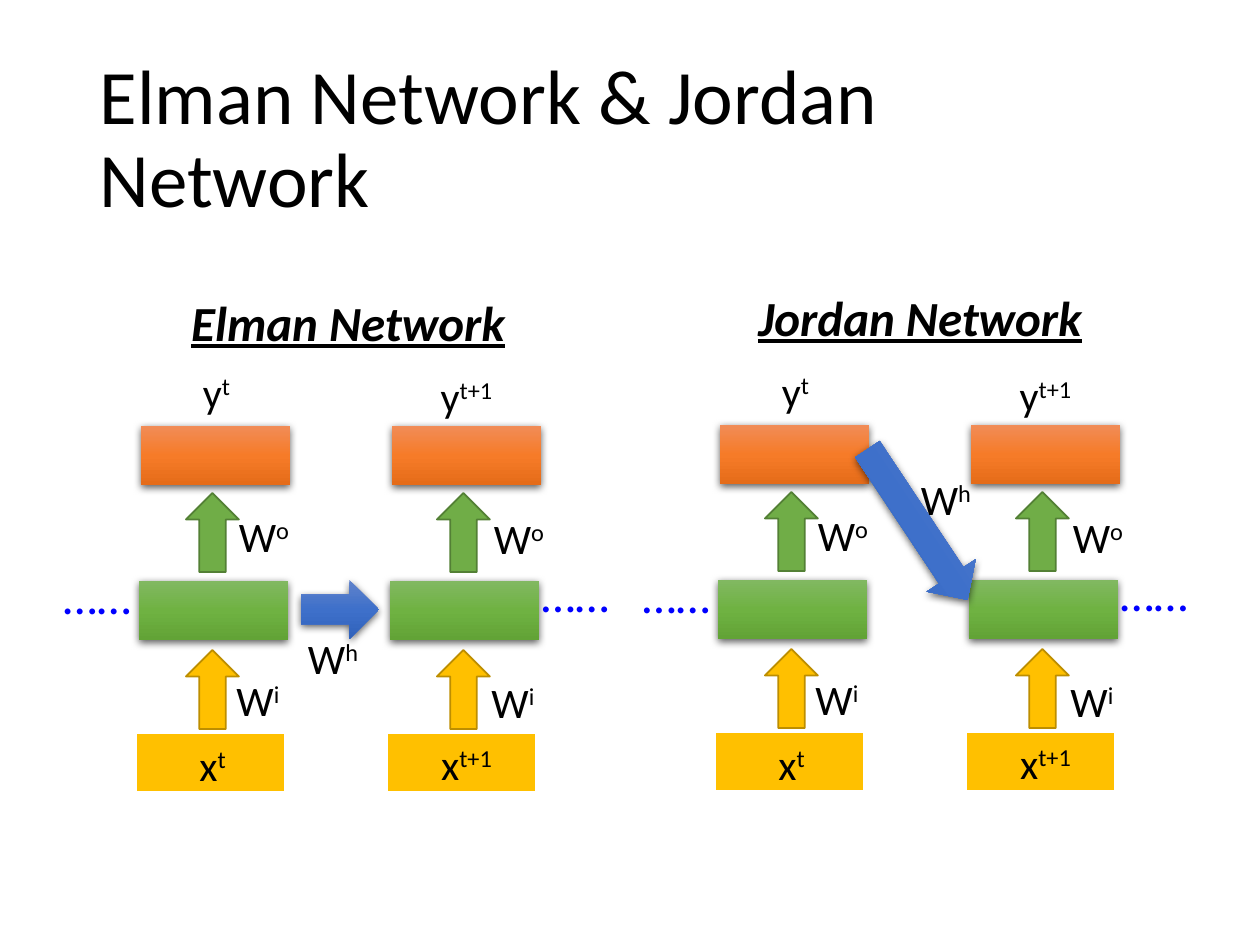
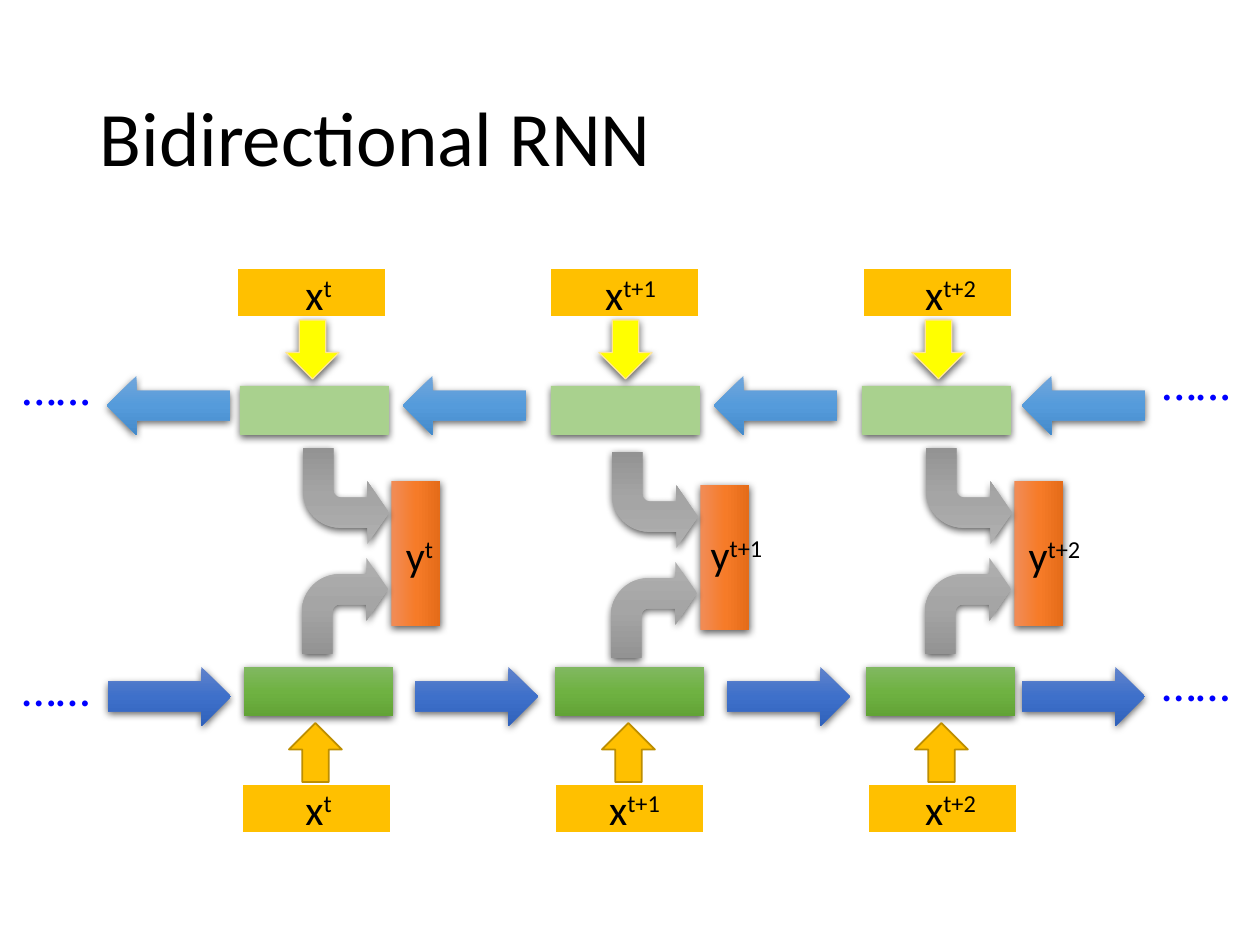
from copy import deepcopy
from dataclasses import dataclass

from lxml import etree
from pptx import Presentation
from pptx import util as u
from pptx.dml.color import RGBColor
from pptx.enum import shapes, text
from pptx.oxml.ns import qn

PX_PER_INCH = 126
G = shapes.MSO_SHAPE


@dataclass(frozen=True)
class Paint:
    fill: object  # one colour, or three gradient colours from top to bottom
    line: str = ""
    line_pt: float = 0
    shadow: bool = True


class Theme:
    font = "Calibri"
    background, ink, dots = "FFFFFF", "000000", "0000FF"
    title_pt, heading_pt, label_pt, dots_pt = 44, 28, 24, 28
    input = Paint("FFC000", "FFFFFF", 1.5, shadow=False)
    input_arrow = Paint("FFC000", "BD8E00", 1, shadow=False)
    output_arrow = Paint("70AD47", "538035", 1, shadow=False)
    backward_input_arrow = Paint("FFFF00", "FFE699", 0.75)
    hidden = Paint(("81B861", "6FB242", "62A336"))
    backward_hidden = Paint("A9D18E")
    output = Paint(("F18C57", "F67B28", "E56C19"))
    recurrent = Paint(("6183CB", "3E70CA", "3062BB"))
    backward_recurrent = Paint(("71A6DB", "559BDB", "448ACA"))
    merge = Paint(("AFAFAF", "A5A5A5", "939393"))


@dataclass(frozen=True)
class Stream:
    """One direction of the bidirectional network; lengths are px in its box."""
    label_y: int
    input_y: int
    arrow_y: int
    hidden_y: int
    recurrent_y: int
    dots_y: tuple
    input_x: int
    arrow_x: int
    hidden_x: int
    label_x: tuple
    recurrent_x: tuple
    input_arrow: object
    recurrent_arrow: object
    arrow_paint: Paint
    hidden_paint: Paint
    recurrent_paint: Paint
    dots_turn: int = 0


FORWARD = Stream(
    label_y=131, input_y=138, arrow_y=77, hidden_y=21, recurrent_y=21,
    dots_y=(5, 0), input_x=242, arrow_x=289, hidden_x=244,
    label_x=(256, 572, 888), recurrent_x=(108, 415, 727, 1022),
    input_arrow=G.UP_ARROW, recurrent_arrow=G.RIGHT_ARROW,
    arrow_paint=Theme.input_arrow, hidden_paint=Theme.hidden,
    recurrent_paint=Theme.recurrent)
BACKWARD = Stream(
    label_y=0, input_y=6, arrow_y=58, hidden_y=124, recurrent_y=114,
    dots_y=(122, 117), input_x=237, arrow_x=286, hidden_x=240,
    label_x=(256, 568, 888), recurrent_x=(107, 403, 714, 1022),
    input_arrow=G.DOWN_ARROW, recurrent_arrow=G.LEFT_ARROW,
    arrow_paint=Theme.backward_input_arrow, hidden_paint=Theme.backward_hidden,
    recurrent_paint=Theme.backward_recurrent, dots_turn=180)

TIMES = ("t", "t+1", "t+2")


def px(length):
    return u.Emu(round(length * 914400 / PX_PER_INCH))


def rgb(colour):
    return RGBColor.from_string(colour)


def add_shadow(shape):
    effects = etree.SubElement(shape._element.spPr, qn("a:effectLst"))
    outer = etree.SubElement(effects, qn("a:outerShdw"), blurRad="57150",
                             dist="19050", dir="5400000", algn="ctr", rotWithShape="0")
    colour = etree.SubElement(outer, qn("a:srgbClr"), val=Theme.ink)
    etree.SubElement(colour, qn("a:alpha"), val="63000")


def apply_paint(shape, paint):
    if isinstance(paint.fill, str):
        shape.fill.solid()
        shape.fill.fore_color.rgb = rgb(paint.fill)
    else:
        shape.fill.gradient()
        shape.fill.gradient_angle = 270
        stops = shape._element.spPr.find(qn("a:gradFill")).find(qn("a:gsLst"))
        stops.insert(1, deepcopy(stops[0]))
        for stop, colour, position in zip(shape.fill.gradient_stops, paint.fill, (0, 0.5, 1)):
            stop.color.rgb = rgb(colour)
            stop.position = position
    if paint.line:
        shape.line.color.rgb = rgb(paint.line)
        shape.line.width = u.Pt(paint.line_pt)
    else:
        shape.line.fill.background()
    if paint.shadow:
        add_shadow(shape)
    else:
        shape.shadow.inherit = False


def add_part(slide, kind, left, top, width, height, paint, turn=0):
    part = slide.shapes.add_shape(kind, px(left), px(top), px(width), px(height))
    part.rotation = turn
    apply_paint(part, paint)
    return part


def add_run(paragraph, wording, size, colour=Theme.ink):
    run = paragraph.add_run()
    run.text = wording
    run.font.name = Theme.font
    run.font.size = u.Pt(size)
    run.font.color.rgb = rgb(colour)
    return run


def add_caption(slide, left, top, width, height):
    """Add an empty centred text box and return it with its paragraph."""
    caption = slide.shapes.add_textbox(px(left), px(top), px(width), px(height))
    frame = caption.text_frame
    frame.word_wrap = True
    frame.auto_size = text.MSO_AUTO_SIZE.SHAPE_TO_FIT_TEXT
    frame.paragraphs[0].alignment = text.PP_ALIGN.CENTER
    return caption, frame.paragraphs[0]


def add_symbol(slide, base, raised, left, top):
    """Write a symbol such as x with a raised index."""
    _, line = add_caption(slide, left, top, 88 if base == "W" else 125, 63)
    add_run(line, base, Theme.label_pt)
    index = add_run(line, raised, Theme.label_pt)
    index.font._element.set("baseline", "30000")


def add_dots(slide, left, top, turn=0):
    caption, line = add_caption(slide, left, top, 122, 72)
    caption.rotation = turn
    add_run(line, "……", Theme.dots_pt, Theme.dots)


def add_titled_slide(deck, title):
    slide = deck.slides.add_slide(deck.slide_layouts[5])
    slide.background.fill.solid()
    slide.background.fill.fore_color.rgb = rgb(Theme.background)
    holder = slide.shapes.title
    holder.left, holder.top, holder.width, holder.height = map(px, (87, 50, 1086, 183))
    frame = holder.text_frame
    frame.word_wrap = True
    frame.auto_size = text.MSO_AUTO_SIZE.NONE
    frame.vertical_anchor = text.MSO_ANCHOR.MIDDLE
    line = frame.paragraphs[0]
    line.alignment = text.PP_ALIGN.LEFT
    line.line_spacing = 0.9
    add_run(line, title, Theme.title_pt)
    return slide


def add_time_step(slide, x, y, step):
    """Stack input, hidden and output layers; labels of later steps sit slightly off."""
    x += 251 * step
    for dx, dy, paint in ((0, 373, Theme.input), (3, 221, Theme.hidden), (5, 66, Theme.output)):
        add_part(slide, G.RECTANGLE, x + dx, y + dy, 149, 59, paint)
    for dy, paint in ((290, Theme.input_arrow), (133, Theme.output_arrow)):
        add_part(slide, G.UP_ARROW, x + 50, y + dy, 53, 79, paint)
    add_symbol(slide, "x", TIMES[step], x + 14 + 3 * step, y + 373 - step)
    add_symbol(slide, "y", TIMES[step], x + 18 - step, y + 4 * step)
    add_symbol(slide, "W", "i", x + 78 + 4 * step, y + 308 + 2 * step)
    add_symbol(slide, "W", "o", x + 84 + 4 * step, y + 144 + 2 * step)


def add_network(slide, x, y, heading, heading_at, arrow_at, arrow_length, turn, weight_at):
    for step in range(2):
        add_time_step(slide, x + 100, y, step)
    add_part(slide, G.RIGHT_ARROW, x + arrow_at[0], y + arrow_at[1], arrow_length, 59,
             Theme.recurrent, turn)
    add_symbol(slide, "W", "h", x + weight_at[0], y + weight_at[1])
    add_dots(slide, x, y + 199)
    add_dots(slide, x + 478, y + 197)
    _, line = add_caption(slide, x + heading_at[0], y + heading_at[1], 408, 72)
    font = add_run(line, heading, Theme.heading_pt).font
    font.bold = font.italic = font.underline = True


def add_stream(slide, y, stream):
    for step, time in enumerate(TIMES):
        add_part(slide, G.RECTANGLE, stream.input_x + 313 * step, y + stream.input_y,
                 149, 49, Theme.input)
        add_part(slide, G.RECTANGLE, stream.hidden_x + 311 * step, y + stream.hidden_y,
                 149, 49, stream.hidden_paint)
        add_part(slide, stream.input_arrow, stream.arrow_x + 313 * step, y + stream.arrow_y,
                 53, 59, stream.arrow_paint)
        add_symbol(slide, "x", time, stream.label_x[step], y + stream.label_y)
    for left in stream.recurrent_x:
        add_part(slide, stream.recurrent_arrow, left, y + stream.recurrent_y, 123, 59,
                 stream.recurrent_paint)
    for left, dy in zip((-5, 1135), stream.dots_y):
        add_dots(slide, left, y + dy, stream.dots_turn)


def add_merge(slide, x, y, time, label_at):
    """Lead both hidden layers of one time step into its output."""
    add_part(slide, G.RECTANGLE, x + 41, y + 81, 146, 49, Theme.output, turn=270)
    for dx, dy, flipped in ((1, 0, True), (0, 110, False)):
        bend = add_part(slide, G.BENT_ARROW, x + dx, y + dy, 86, 96, Theme.merge)
        for i, value in enumerate((0.352, 0.363, 0.25, 0.438)):
            bend.adjustments[i] = value
        if flipped:
            bend._element.spPr.xfrm.set("flipV", "1")
    add_symbol(slide, "y", time, x + label_at[0], y + label_at[1])


def build_elman_and_jordan(deck):
    slide = add_titled_slide(deck, "Elman Network & Jordan Network")
    add_network(slide, 36, 360, "Elman Network", heading_at=(108, -74),
                arrow_at=(265, 220), arrow_length=78, turn=0, weight_at=(253, 266))
    add_network(slide, 615, 359, "Jordan Network", heading_at=(101, -78),
                arrow_at=(212, 136), arrow_length=181, turn=56.4, weight_at=(287, 108))


def build_bidirectional(deck):
    slide = add_titled_slide(deck, "Bidirectional RNN")
    add_stream(slide, 646, FORWARD)
    add_stream(slide, 262, BACKWARD)
    merges = ((302, 448, (55, 75)), (611, 452, (63, 70)), (925, 448, (67, 75)))
    for time, (x, y, label_at) in zip(TIMES, merges):
        add_merge(slide, x, y, time, label_at)


def main():
    deck = Presentation()
    deck.slide_width, deck.slide_height = px(1260), px(945)
    build_elman_and_jordan(deck)
    build_bidirectional(deck)
    deck.save("out.pptx")


if __name__ == "__main__":
    main()
